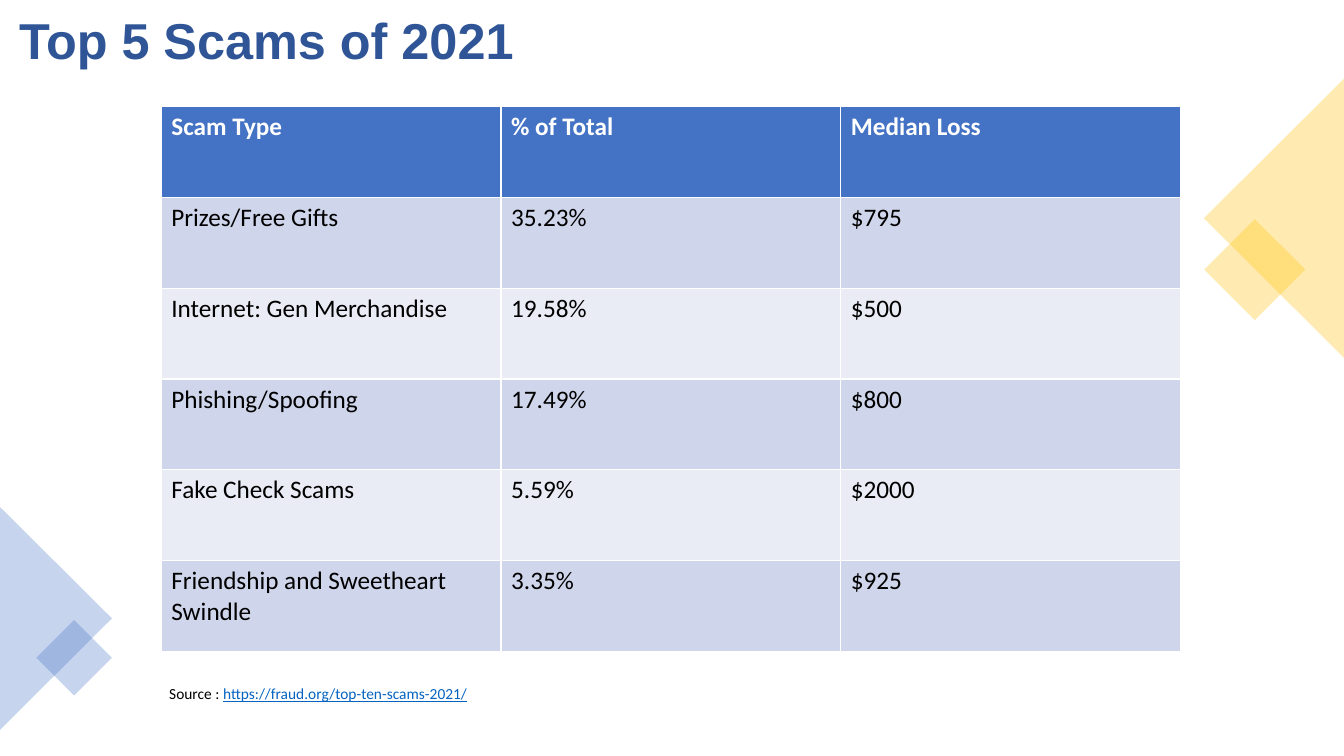
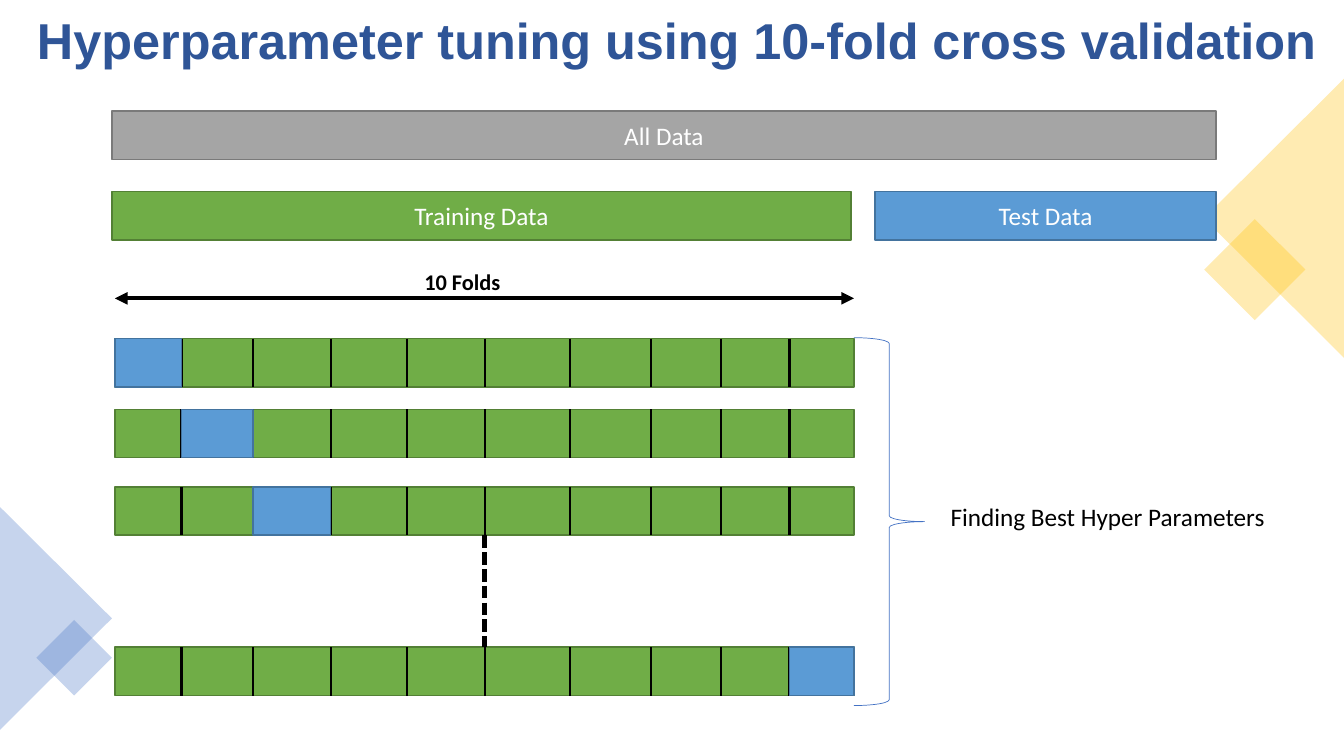
"""Build two slides: the top scams of 2021 and 10-fold cross validation."""
from dataclasses import dataclass
from itertools import pairwise

from lxml import etree
from pptx import Presentation
from pptx import util as u
from pptx.dml.color import RGBColor
from pptx.enum import dml, shapes, text
from pptx.oxml import ns


@dataclass(frozen=True)
class Theme:
    """Colours, fonts and type sizes that the slides share."""

    title: str = "2F5597"
    accent: str = "4472C4"
    gold: str = "FFC000"
    white: str = "FFFFFF"
    black: str = "000000"
    link: str = "0563C1"
    band_dark: str = "CFD5EA"
    band_light: str = "E9EBF5"
    grey: tuple = ("A5A5A5", "7A7A7A")
    green: tuple = ("70AD47", "538035")
    blue: tuple = ("5B9BD5", "43739E")
    title_font: str = "Arial"
    body_font: str = "Calibri"
    title_size: float = 36
    body_size: float = 18
    label_size: float = 16
    source_size: float = 11


THEME = Theme()
RECTANGLE = shapes.MSO_SHAPE.RECTANGLE
TRIANGLE = shapes.MSO_SHAPE.ISOSCELES_TRIANGLE
CENTER = text.PP_ALIGN.CENTER

DECORATIONS = [
    (RECTANGLE, (12.09, 2.32, 0.71, 0.71), 45, THEME.gold),
    (TRIANGLE, (11.25, 1.47, 2.77, 1.39), 270, THEME.gold),
    (TRIANGLE, (-0.55, 5.58, 2.21, 1.11), 90, THEME.accent),
    (RECTANGLE, (0.47, 6.26, 0.53, 0.53), 45, THEME.accent),
]

SCAMS = [
    ("Scam Type", "% of Total", "Median Loss"),
    ("Prizes/Free Gifts", "35.23%", "$795"),
    ("Internet: Gen Merchandise", "19.58%", "$500"),
    ("Phishing/Spoofing", "17.49%", "$800"),
    ("Fake Check Scams", "5.59%", "$2000"),
    ("Friendship and Sweetheart Swindle", "3.35%", "$925"),
]

BAR_HEIGHT = 0.48
FOLD_EDGES = [1.14, 1.8, 2.51, 3.28, 4.04, 4.81, 5.65, 6.46, 7.15, 7.83, 8.47]
FOLD_ROWS = [(3.36, 0), (4.06, 1), (4.83, 2), (6.42, 9)]


def rgb(colour):
    """Turn a hex string into a colour."""
    return RGBColor.from_string(colour)


def inches(*lengths):
    """Turn numbers into lengths in inches."""
    return [u.Inches(length) for length in lengths]


def add_run(paragraph, words, *, size=THEME.body_size, font=THEME.body_font,
            colour=THEME.black, bold=False, underline=False, align=None):
    """Add formatted text to a paragraph."""
    if align is not None:
        paragraph.alignment = align
    run = paragraph.add_run()
    run.text = words
    run.font.size = u.Pt(size)
    run.font.name = font
    run.font.bold = bold
    run.font.underline = underline
    run.font.color.rgb = rgb(colour)


def add_text(slide, box, words, **style):
    """Add a wrapping text box and return its paragraph."""
    frame = slide.shapes.add_textbox(*inches(*box)).text_frame
    frame.word_wrap = True
    frame.auto_size = text.MSO_AUTO_SIZE.SHAPE_TO_FIT_TEXT
    paragraph = frame.paragraphs[0]
    add_run(paragraph, words, **style)
    return paragraph


def add_shape(slide, kind, box, *, fill=None, line=None, width=1, alpha=None):
    """Add a preset shape without shadow."""
    shape = slide.shapes.add_shape(kind, *inches(*box))
    shape.shadow.inherit = False
    if fill:
        shape.fill.solid()
        shape.fill.fore_color.rgb = rgb(fill)
    else:
        shape.fill.background()
    if alpha is not None:
        colour = shape.fill._xPr.find(".//" + ns.qn("a:srgbClr"))
        etree.SubElement(colour, ns.qn("a:alpha"), val=str(alpha * 1000))
    if line:
        shape.line.color.rgb = rgb(line)
        shape.line.width = u.Pt(width)
    else:
        shape.line.fill.background()
    return shape


def add_bar(slide, box, colours, words=None):
    """Add an outlined bar with an optional centred label."""
    fill, line = colours
    bar = add_shape(slide, RECTANGLE, box, fill=fill, line=line)
    if words:
        bar.text_frame.vertical_anchor = text.MSO_ANCHOR.MIDDLE
        add_run(bar.text_frame.paragraphs[0], words, colour=THEME.white, align=CENTER)
    return bar


def add_line(slide, start, end, *, width=1.5, dash=None, arrows=False):
    """Add a straight black line, dashed or double-headed on request."""
    connector = slide.shapes.add_connector(
        shapes.MSO_CONNECTOR.STRAIGHT, *inches(*start, *end))
    connector.line.color.rgb = rgb(THEME.black)
    connector.line.width = u.Pt(width)
    if dash:
        connector.line.dash_style = dash
    if arrows:
        outline = connector.line._get_or_add_ln()
        for tag in ("a:headEnd", "a:tailEnd"):
            etree.SubElement(outline, ns.qn(tag), type="triangle")
    etree.SubElement(connector._element.spPr, ns.qn("a:effectLst"))
    return connector


def add_slide(presentation, title, width, align=None):
    """Add a blank slide with the shared decorations and title."""
    slide = presentation.slides.add_slide(presentation.slide_layouts[6])
    for kind, box, rotation, colour in DECORATIONS:
        add_shape(slide, kind, box, fill=colour, alpha=30).rotation = rotation
    add_text(slide, (0.09, 0.04, width, 0.71), title, size=THEME.title_size,
             font=THEME.title_font, colour=THEME.title, bold=True, align=align)
    return slide


def add_table(slide, box, rows):
    """Add a table with a header row and banded body rows."""
    frame = slide.shapes.add_table(len(rows), len(rows[0]), *inches(*box))
    for row_index, row in enumerate(rows):
        header = row_index == 0
        band = THEME.band_dark if row_index % 2 else THEME.band_light
        for column_index, words in enumerate(row):
            cell = frame.table.cell(row_index, column_index)
            cell.fill.solid()
            cell.fill.fore_color.rgb = rgb(THEME.accent if header else band)
            add_run(cell.text_frame.paragraphs[0], words, bold=header,
                    colour=THEME.white if header else THEME.black)


def add_fold_row(slide, top, held_out):
    """Add a bar cut into folds with the held-out fold in blue."""
    left, right = FOLD_EDGES[0], FOLD_EDGES[-1]
    bar = add_bar(slide, (left, top, right - left, BAR_HEIGHT), THEME.green)
    for edge in FOLD_EDGES[1:-1]:
        add_line(slide, (edge, top), (edge, top + BAR_HEIGHT))
    start, end = list(pairwise(FOLD_EDGES))[held_out]
    add_bar(slide, (start, top, end - start, BAR_HEIGHT), THEME.blue)
    return bar


def build_scams(presentation):
    """Build the slide with the table of scams."""
    slide = add_slide(presentation, "Top 5 Scams of 2021", 13.18)
    add_table(slide, (1.6, 1.06, 10.11, 5.4), SCAMS)
    source = add_text(slide, (1.58, 6.74, 6.07, 0.29), "Source : ", size=THEME.source_size)
    add_run(source, "https://fraud.org/top-ten-scams-2021/",
            size=THEME.source_size, colour=THEME.link, underline=True)


def build_cross_validation(presentation):
    """Build the slide with the cross validation diagram."""
    slide = add_slide(presentation, "Hyperparameter tuning using 10-fold cross validation",
                      13.25, CENTER)
    add_bar(slide, (1.11, 1.1, 10.95, BAR_HEIGHT), THEME.grey, "All Data")
    add_bar(slide, (1.11, 1.9, 7.33, BAR_HEIGHT), THEME.green, "Training Data")
    add_bar(slide, (8.68, 1.9, 3.38, BAR_HEIGHT), THEME.blue, "Test Data")

    left, right = FOLD_EDGES[0], FOLD_EDGES[-1]
    add_line(slide, (left, 2.96), (right, 2.96), width=3, arrows=True)
    add_text(slide, (4.11, 2.61, 1.39, 0.37), "10 Folds", size=THEME.label_size, bold=True)

    bars = [add_fold_row(slide, top, held_out) for top, held_out in FOLD_ROWS]
    middle = (left + right) / 2
    dots = add_line(slide, (middle, 5.31), (middle, 6.42), width=3,
                    dash=dml.MSO_LINE.SQUARE_DOT)
    dots.begin_connect(bars[-2], 2)
    dots.end_connect(bars[-1], 0)

    add_shape(slide, shapes.MSO_SHAPE.RIGHT_BRACE, (right, 3.35, 0.7, 3.65),
              line=THEME.accent, width=0.5)
    add_text(slide, (9.33, 4.92, 3.51, 0.4), "Finding Best Hyper Parameters")


def main():
    """Build and save the presentation."""
    presentation = Presentation()
    presentation.slide_width, presentation.slide_height = inches(13.33, 7.5)
    build_scams(presentation)
    build_cross_validation(presentation)
    presentation.save("out.pptx")


if __name__ == "__main__":
    main()
